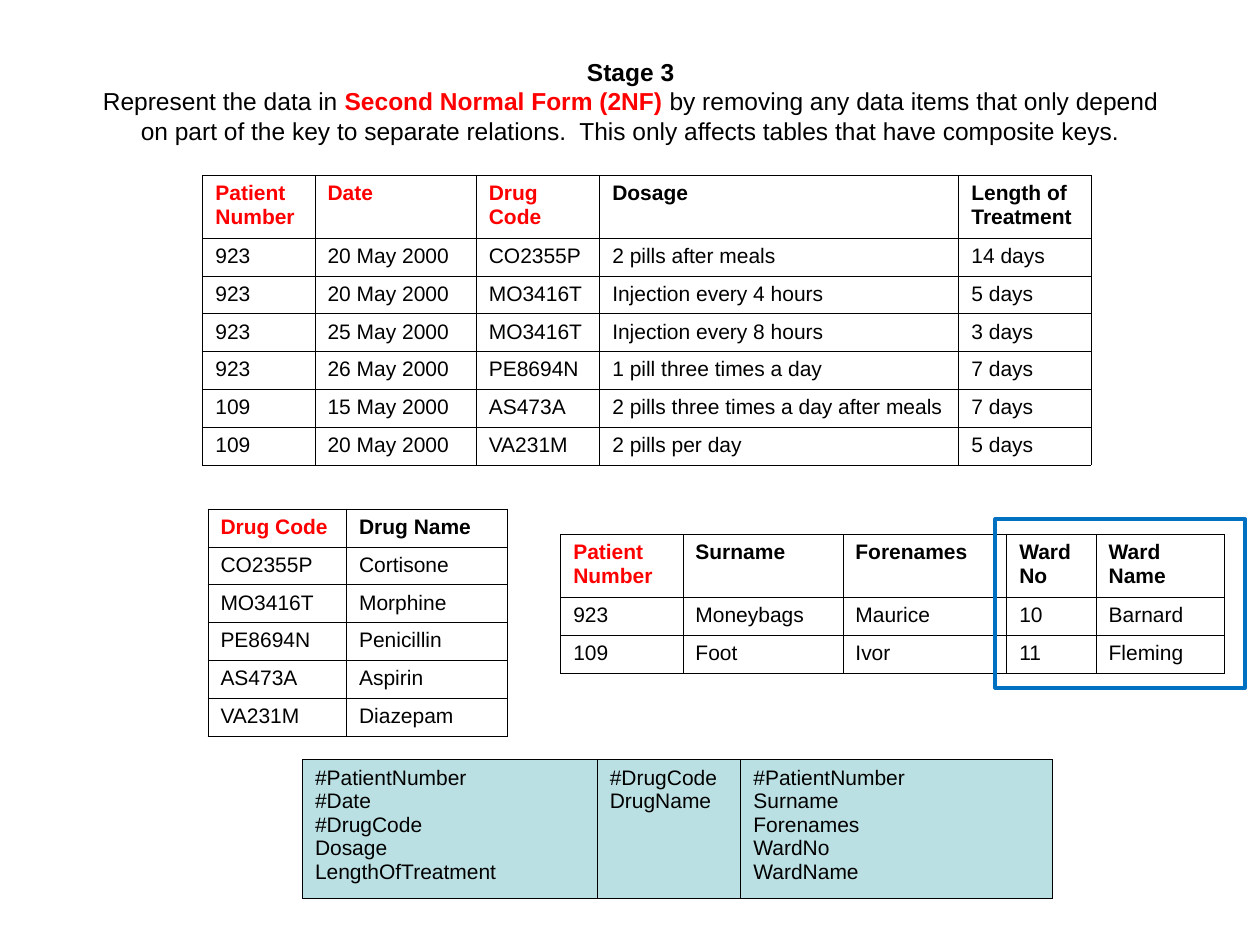
from lxml.etree import SubElement
from pptx import Presentation
from pptx.dml.color import RGBColor
from pptx.enum.shapes import MSO_SHAPE
from pptx.enum.text import MSO_ANCHOR, MSO_AUTO_SIZE, PP_ALIGN
from pptx.oxml.ns import qn
from pptx.util import Inches, Pt

COLORS = {"text": "000000", "key": "FF0000", "schema": "BBE0E3", "highlight": "0070C0"}
FONT = "Arial"
HEADER_HEIGHT, ROW_HEIGHT = 0.5, 0.3


def color(name):
    return RGBColor.from_string(COLORS[name])


def add_relation(slide, left, top, widths, heights, rows, keys=0, header=True, fill=None):
    """Add a bordered table whose first `keys` header cells are red."""
    table = slide.shapes.add_table(
        len(rows), len(widths), Inches(left), Inches(top),
        Inches(sum(widths)), Inches(sum(heights))).table
    table.first_row = table.horz_banding = False
    for column, width in zip(table.columns, widths):
        column.width = Inches(width)
    for r, (row, height) in enumerate(zip(rows, heights)):
        table.rows[r].height = Inches(height)
        for c, text in enumerate(row):
            cell = table.cell(r, c)
            cell.text = text
            is_header = header and r == 0
            for paragraph in cell.text_frame.paragraphs:
                paragraph.font.name = FONT
                paragraph.font.size = Pt(12)
                paragraph.font.bold = is_header
                paragraph.font.color.rgb = color("key" if is_header and c < keys else "text")
            # Borders come before the fill in the cell properties
            properties = cell._tc.get_or_add_tcPr()
            for side in ("a:lnL", "a:lnR", "a:lnT", "a:lnB"):
                border = SubElement(properties, qn(side), w=str(Pt(0.45)))
                solid = SubElement(border, qn("a:solidFill"))
                SubElement(solid, qn("a:srgbClr"), val=COLORS["text"])
            if fill:
                cell.fill.solid()
                cell.fill.fore_color.rgb = color(fill)
            else:
                cell.fill.background()


prs = Presentation()
prs.slide_width, prs.slide_height = Inches(10), Inches(7.5)
slide = prs.slides.add_slide(prs.slide_layouts[5])

# Stage title and explanation
title = slide.shapes.title
title.left, title.top = Inches(0.59), Inches(0.4)
title.width, title.height = Inches(8.83), Inches(1.04)
heading = title.text_frame
heading.word_wrap = True
heading.auto_size = MSO_AUTO_SIZE.NONE
heading.vertical_anchor = MSO_ANCHOR.TOP
stage, explanation = heading.paragraphs[0], heading.add_paragraph()
for paragraph in (stage, explanation):
    paragraph.alignment = PP_ALIGN.CENTER
    paragraph.font.name = FONT
    paragraph.font.size = Pt(14)
    paragraph.font.color.rgb = color("text")
stage.text = "Stage 3"
stage.font.bold = True
explanation.add_run().text = "Represent the data in "
normal_form = explanation.add_run()
normal_form.text = "Second Normal Form (2NF) "
normal_form.font.bold = True
normal_form.font.color.rgb = color("key")
explanation.add_run().text = (
    "by removing any data items that only depend on part of the key to separate "
    "relations.  This only affects tables that have composite keys.")

# Treatments, with their composite key
treatments = [
    ("Patient Number", "Date", "Drug Code", "Dosage", "Length of Treatment"),
    ("923", "20 May 2000", "CO2355P", "2 pills after meals", "14 days"),
    ("923", "20 May 2000", "MO3416T", "Injection every 4 hours", "5 days"),
    ("923", "25 May 2000", "MO3416T", "Injection every 8 hours", "3 days"),
    ("923", "26 May 2000", "PE8694N", "1 pill three times a day", "7 days"),
    ("109", "15 May 2000", "AS473A", "2 pills three times a day after meals", "7 days"),
    ("109", "20 May 2000", "VA231M", "2 pills per day", "5 days"),
]
add_relation(slide, 1.61, 1.39, [0.89, 1.28, 0.98, 2.85, 1.05],
             [HEADER_HEIGHT] + [ROW_HEIGHT] * 6, treatments, keys=3)

# Drugs
drugs = [
    ("Drug Code", "Drug Name"),
    ("CO2355P", "Cortisone"),
    ("MO3416T", "Morphine"),
    ("PE8694N", "Penicillin"),
    ("AS473A", "Aspirin"),
    ("VA231M", "Diazepam"),
]
add_relation(slide, 1.65, 4.04, [1.1, 1.28], [ROW_HEIGHT] * 6, drugs, keys=1)

# Attributes of the three relations
attributes = [(
    "#PatientNumber\n#Date\n#DrugCode\nDosage\nLengthOfTreatment",
    "#DrugCode\nDrugName",
    "#PatientNumber\nSurname\nForenames\nWardNo\nWardName",
)]
add_relation(slide, 2.4, 6.03, [2.34, 1.14, 2.47], [1.1], attributes,
             header=False, fill="schema")

# Patients
patients = [
    ("Patient Number", "Surname", "Forenames", "Ward No", "Ward Name"),
    ("923", "Moneybags", "Maurice", "10", "Barnard"),
    ("109", "Foot", "Ivor", "11", "Fleming"),
]
add_relation(slide, 4.45, 4.24, [0.97, 1.27, 1.3, 0.71, 1.02],
             [HEADER_HEIGHT] + [ROW_HEIGHT] * 2, patients, keys=1)

# Frame around the ward columns
ward_frame = slide.shapes.add_shape(
    MSO_SHAPE.RECTANGLE, Inches(7.9), Inches(4.12), Inches(1.98), Inches(1.34))
ward_frame.shadow.inherit = False
ward_frame.fill.background()
ward_frame.line.color.rgb = color("highlight")
ward_frame.line.width = Pt(2.25)

prs.save("out.pptx")
